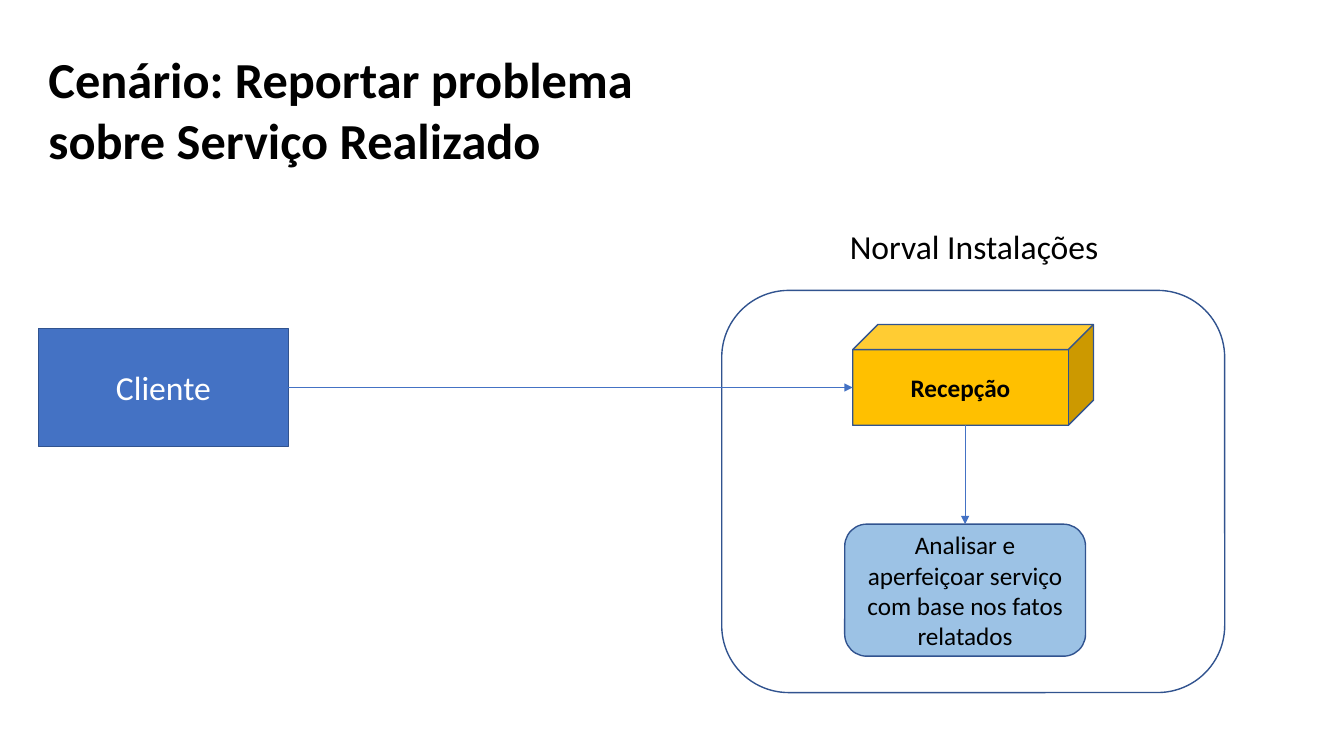
from dataclasses import dataclass

from lxml.etree import SubElement
from pptx import Presentation
from pptx.dml.color import RGBColor
from pptx.enum.shapes import MSO_CONNECTOR, MSO_SHAPE
from pptx.enum.text import MSO_ANCHOR, MSO_AUTO_SIZE, PP_ALIGN
from pptx.oxml.ns import qn
from pptx.shapes.autoshape import Shape
from pptx.shapes.connector import Connector
from pptx.slide import Slide
from pptx.util import Pt

BLUE = RGBColor(0x44, 0x72, 0xC4)
OUTLINE = RGBColor(0x31, 0x53, 0x8F)
GOLD = RGBColor(0xFF, 0xC0, 0x00)
LIGHT_BLUE = RGBColor(0x9C, 0xC2, 0xE5)
WHITE = RGBColor(0xFF, 0xFF, 0xFF)
BLACK = RGBColor(0x00, 0x00, 0x00)
FONT = "Calibri"


@dataclass(frozen=True)
class Box:
    kind: MSO_SHAPE
    left: float
    top: float
    width: float
    height: float
    fill: RGBColor
    text: str = ""
    size: float = 18
    color: RGBColor = BLACK
    bold: bool = False


CLIENT = Box(MSO_SHAPE.RECTANGLE, 27.4, 234.6, 178.6, 84.4, BLUE, "Cliente", 24, WHITE)
COMPANY = Box(MSO_SHAPE.ROUNDED_RECTANGLE, 515.5, 207.4, 359.3, 287.3, WHITE)
RECEPTION = Box(MSO_SHAPE.CUBE, 609.1, 231.8, 172, 72, GOLD, "Recepção", bold=True)
ANALYSIS = Box(
    MSO_SHAPE.ROUNDED_RECTANGLE, 603.4, 374.4, 172, 94.3, LIGHT_BLUE,
    "Analisar e aperfeiçoar serviço com base nos fatos relatados",
)


def write_text(
    shape: Shape, text: str, size: float, color: RGBColor, bold: bool,
    alignment: PP_ALIGN, anchor: MSO_ANCHOR,
) -> None:
    frame = shape.text_frame
    frame.word_wrap = True
    frame.auto_size = MSO_AUTO_SIZE.NONE
    frame.vertical_anchor = anchor
    frame.text = text
    paragraph = frame.paragraphs[0]
    paragraph.alignment = alignment
    paragraph.font.name = FONT
    paragraph.font.size = Pt(size)
    paragraph.font.bold = bold
    paragraph.font.color.rgb = color


def add_box(slide: Slide, box: Box) -> Shape:
    shape = slide.shapes.add_shape(
        box.kind, Pt(box.left), Pt(box.top), Pt(box.width), Pt(box.height)
    )
    shape.shadow.inherit = False
    shape.fill.solid()
    shape.fill.fore_color.rgb = box.fill
    shape.line.color.rgb = OUTLINE
    shape.line.width = Pt(1)
    if box.text:
        write_text(
            shape, box.text, box.size, box.color, box.bold,
            PP_ALIGN.CENTER, MSO_ANCHOR.MIDDLE,
        )
    return shape


def add_arrow(slide: Slide, x1: float, y1: float, x2: float, y2: float) -> Connector:
    arrow = slide.shapes.add_connector(
        MSO_CONNECTOR.STRAIGHT, Pt(x1), Pt(y1), Pt(x2), Pt(y2)
    )
    arrow.line.color.rgb = BLUE
    arrow.line.width = Pt(0.75)
    SubElement(arrow.line._get_or_add_ln(), qn("a:tailEnd"), type="triangle")
    SubElement(arrow._element.spPr, qn("a:effectLst"))
    return arrow


def add_title(slide: Slide) -> None:
    title = slide.shapes.title
    title.left, title.top, title.width, title.height = Pt(27.4), Pt(31), Pt(511), Pt(94.5)
    write_text(
        title, "Cenário: Reportar problema sobre Serviço Realizado",
        36, BLACK, True, PP_ALIGN.LEFT, MSO_ANCHOR.TOP,
    )


def add_company_label(slide: Slide) -> None:
    label = slide.shapes.add_textbox(Pt(568), Pt(157.7), Pt(273), Pt(36))
    write_text(
        label, "Norval Instalações", 24, BLACK, False, PP_ALIGN.LEFT, MSO_ANCHOR.TOP
    )
    label.text_frame.margin_left = Pt(39)


def main() -> None:
    presentation = Presentation()
    presentation.slide_width = Pt(960)
    presentation.slide_height = Pt(540)
    slide = presentation.slides.add_slide(presentation.slide_layouts[5])

    add_title(slide)
    add_company_label(slide)
    client, _, _, analysis = [
        add_box(slide, box) for box in (CLIENT, COMPANY, RECEPTION, ANALYSIS)
    ]

    client_middle = CLIENT.top + CLIENT.height / 2
    request = add_arrow(
        slide, CLIENT.left + CLIENT.width, client_middle, RECEPTION.left, client_middle
    )
    request.begin_connect(client, 3)

    analysis_center = ANALYSIS.left + ANALYSIS.width / 2
    referral = add_arrow(
        slide, analysis_center, RECEPTION.top + RECEPTION.height,
        analysis_center, ANALYSIS.top,
    )
    referral.end_connect(analysis, 0)

    presentation.save("out.pptx")


if __name__ == "__main__":
    main()
